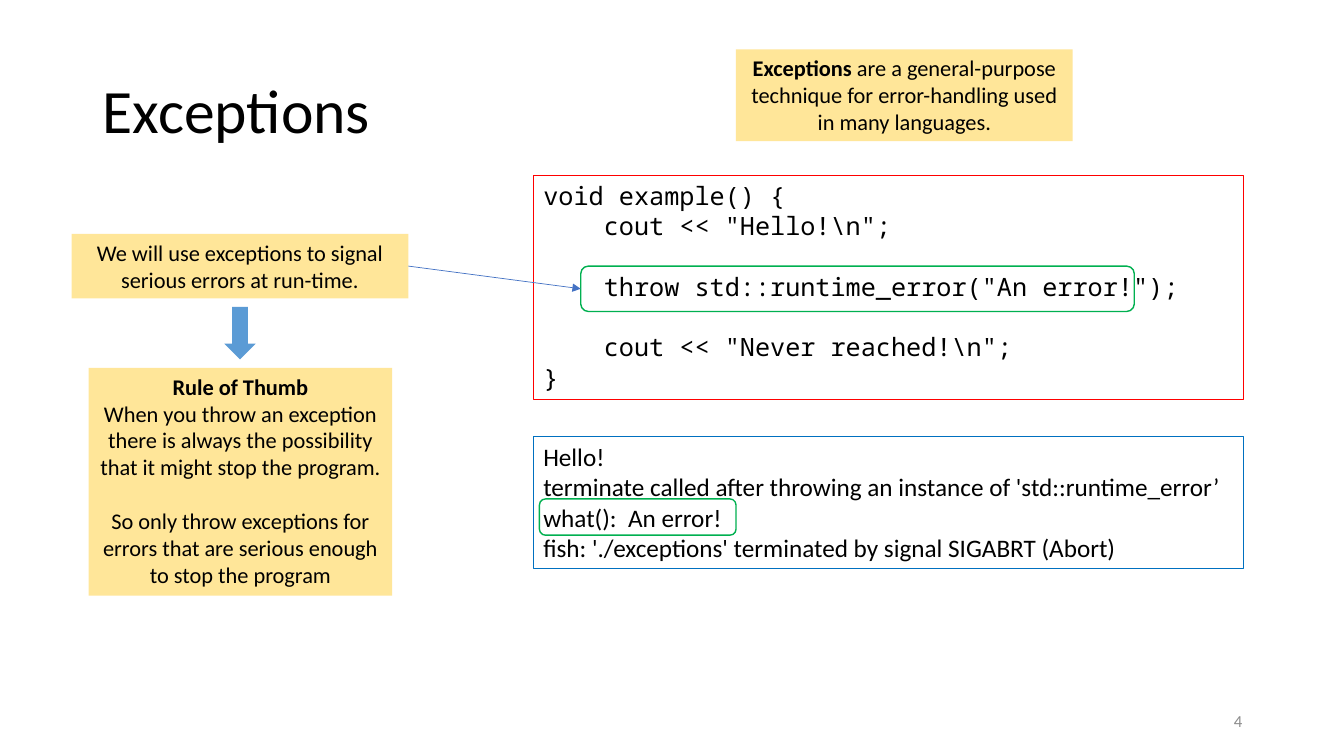
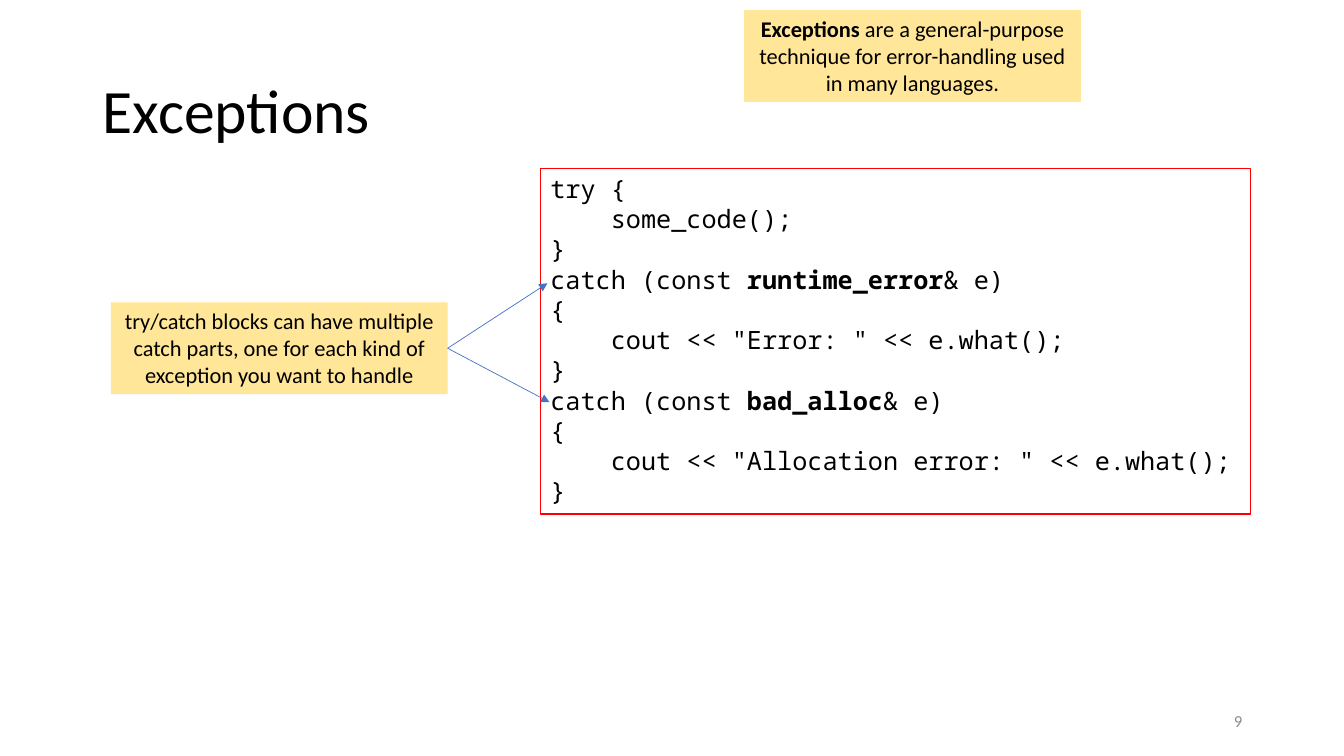
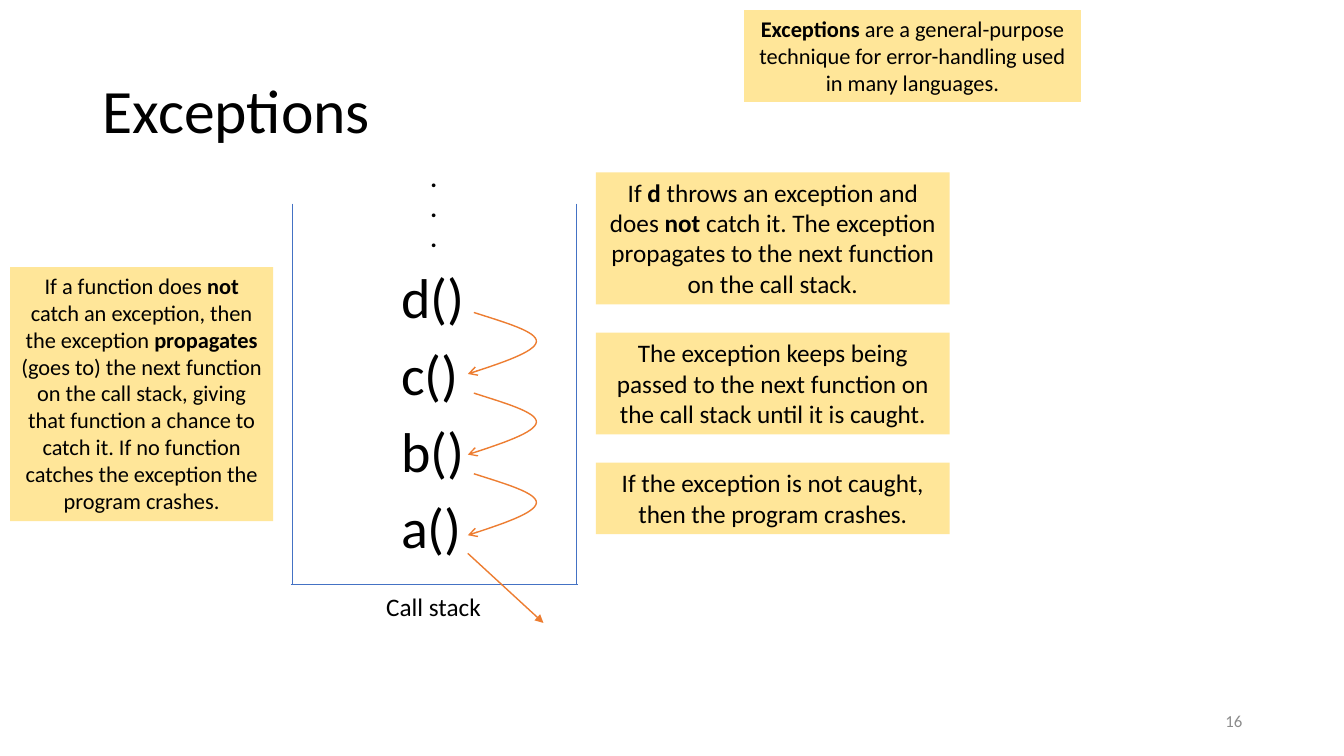
from lxml.etree import SubElement
from pptx import Presentation
from pptx.dml.color import RGBColor
from pptx.enum.shapes import MSO_CONNECTOR, MSO_SHAPE
from pptx.enum.text import MSO_ANCHOR, PP_ALIGN
from pptx.oxml.ns import qn
from pptx.util import Inches, Pt

BLACK = RGBColor(0x00, 0x00, 0x00)
GRAY = RGBColor(0x8C, 0x8C, 0x8C)
CREAM = RGBColor(0xFF, 0xE6, 0x99)
RED = RGBColor(0xFF, 0x00, 0x00)
OUTPUT_BLUE = RGBColor(0x00, 0x70, 0xC0)
LINE_BLUE = RGBColor(0x44, 0x72, 0xC4)
ARROW_BLUE = RGBColor(0x5B, 0x9B, 0xD5)
GREEN = RGBColor(0x00, 0xB0, 0x50)
ORANGE = RGBColor(0xED, 0x7D, 0x31)

FONTS = {
    "title": {"name": "Calibri", "size": Pt(44)},
    "number": {"name": "Calibri", "size": Pt(12)},
    "note": {"name": "Calibri", "size": Pt(16)},
    "body": {"name": "Calibri", "size": Pt(18)},
    "code": {"name": "Noto Sans Mono", "size": Pt(18)},
    "function": {"name": "Calibri", "size": Pt(40)},
}
LEFT = {"alignment": PP_ALIGN.LEFT}
CENTER = {"alignment": PP_ALIGN.CENTER}
RIGHT = {"alignment": PP_ALIGN.RIGHT}
CODE_INDENT = Inches(0.6)
LINE_HEIGHT = 1.2
RIGHT_SIDE = 3
LEFT_SIDE = 1
DEFINITION = "**Exceptions** are a general-purpose technique for error-handling used in many languages."


def set_values(target, values):
    for name, value in values.items():
        setattr(target, name, value)


def curve_point(start, first, second, end, t):
    u = 1 - t
    weights = (u ** 3, 3 * u * u * t, 3 * u * t * t, t ** 3)
    points = (start, first, second, end)
    return tuple(sum(w * p[axis] for w, p in zip(weights, points)) for axis in (0, 1))


class Deck:
    def __init__(self):
        self.presentation = Presentation()
        self.presentation.slide_width = Inches(13.33)
        self.presentation.slide_height = Inches(7.5)
        self.slide = None

    def start_slide(self, number, definition_left, definition_top):
        self.slide = self.presentation.slides.add_slide(self.presentation.slide_layouts[6])
        self.label((0.92, 0.4, 7.42, 1.45), ["Exceptions"], "title",
                   {"line_spacing": 0.9}, anchor=MSO_ANCHOR.MIDDLE)
        self.label((9.42, 6.95, 3, 0.4), [str(number)], "number", RIGHT,
                   anchor=MSO_ANCHOR.MIDDLE, color=GRAY)
        self.note((definition_left, definition_top, 3.34, 0.91), [DEFINITION])

    def set_text(self, shape, lines, font, layout, wrap=True, anchor=MSO_ANCHOR.TOP, color=BLACK):
        frame = shape.text_frame
        set_values(frame, {"word_wrap": wrap, "vertical_anchor": anchor})
        paragraph = frame.paragraphs[0]
        gap = False
        for index, line in enumerate(lines):
            if not line:
                gap = True
                continue
            if index:
                paragraph = frame.add_paragraph()
            set_values(paragraph, layout)
            if gap:
                paragraph.space_before = Pt(FONTS[font]["size"].pt * LINE_HEIGHT)
                gap = False
            if line.startswith("\t"):
                paragraph._p.get_or_add_pPr().set("marL", str(CODE_INDENT))
            for part, text in enumerate(line.strip().split("**")):
                if text:
                    run = paragraph.add_run()
                    run.text = text
                    set_values(run.font, {**FONTS[font], "bold": part % 2 == 1})
                    run.font.color.rgb = color

    def label(self, box, lines, font, layout, **options):
        shape = self.slide.shapes.add_textbox(*map(Inches, box))
        self.set_text(shape, lines, font, layout, **options)

    def box(self, kind, box, fill=None, line=None, width=1):
        shape = self.slide.shapes.add_shape(kind, *map(Inches, box))
        self.paint(shape, fill, line, width)
        return shape

    def paint(self, shape, fill, line, width, head=None):
        shape.shadow.inherit = False
        if fill is None:
            shape.fill.background()
        else:
            shape.fill.solid()
            shape.fill.fore_color.rgb = fill
        if line is None:
            shape.line.fill.background()
        else:
            self.stroke(shape, line, width, head)

    def stroke(self, shape, color, width, head=None):
        shape.line.color.rgb = color
        shape.line.width = Pt(width)
        if head:
            SubElement(shape.element.spPr.find(qn("a:ln")), qn("a:tailEnd"), type=head)

    def note(self, box, lines, font="note"):
        shape = self.box(MSO_SHAPE.RECTANGLE, box, fill=CREAM)
        self.set_text(shape, lines, font, CENTER)
        return shape

    def listing(self, box, lines, font="code", line=RED):
        shape = self.box(MSO_SHAPE.RECTANGLE, box, line=line, width=0.75)
        self.set_text(shape, lines, font, LEFT)

    def highlight(self, box):
        return self.box(MSO_SHAPE.ROUNDED_RECTANGLE, box, line=GREEN)

    def line(self, start, end, color=LINE_BLUE, width=1, head=None, source=None, target=None):
        connector = self.slide.shapes.add_connector(
            MSO_CONNECTOR.STRAIGHT, *map(Inches, start + end))
        if source:
            connector.begin_connect(source, RIGHT_SIDE)
        if target:
            connector.end_connect(target, LEFT_SIDE)
        self.stroke(connector, color, width, head)
        SubElement(connector.element.spPr, qn("a:effectLst"))

    def return_arrow(self, top):
        turn = (5.32, top + 0.29)
        upper = ((4.7, top), (5.01, top + 0.1), (5.33, top + 0.19), turn)
        lower = (turn, (5.31, top + 0.39), (4.98, top + 0.5), (4.64, top + 0.61))
        steps = 16
        points = [tuple(map(Inches, curve_point(*half, step / steps)))
                  for half in (upper, lower) for step in range(1, steps + 1)]
        builder = self.slide.shapes.build_freeform(Inches(4.7), Inches(top))
        builder.add_line_segments(points, close=False)
        self.paint(builder.convert_to_shape(), None, ORANGE, 1, "arrow")


def throwing_slide(deck):
    deck.start_slide(4, 7.3, 0.49)
    deck.listing((5.29, 1.74, 7.04, 2.22), [
        "void example() {",
        '\tcout << "Hello!\\n";',
        "",
        '\tthrow std::runtime_error("An error!");',
        "",
        '\tcout << "Never reached!\\n";',
        "}",
    ])
    usage = deck.note((0.71, 2.32, 3.34, 0.64),
                      ["We will use exceptions to signal serious errors at run-time."])
    deck.note((0.88, 3.65, 3.01, 2.26), [
        "**Rule of Thumb**",
        "When you throw an exception there is always the possibility that it might stop the program.",
        "",
        "So only throw exceptions for errors that are serious enough to stop the program",
    ])
    deck.listing((5.29, 4.33, 7.04, 1.31), [
        "Hello!",
        "terminate called after throwing an instance of 'std::runtime_error’",
        "what():  An error!",
        "fish: './exceptions' terminated by signal SIGABRT (Abort)",
    ], "body", OUTPUT_BLUE)
    deck.highlight((5.35, 4.95, 1.95, 0.36))
    arrow = deck.box(MSO_SHAPE.RIGHT_ARROW, (2.12, 3.15, 0.52, 0.31), fill=ARROW_BLUE)
    arrow.rotation = 90
    throw = deck.highlight((5.76, 2.64, 5.49, 0.45))
    deck.line((4.05, 2.64), (5.76, 2.87), width=0.5, head="triangle",
              source=usage, target=throw)


def catching_slide(deck):
    deck.start_slide(9, 7.38, 0.1)
    blocks = deck.note((1.1, 3, 3.34, 0.91), [
        "try/catch blocks can have multiple catch parts, "
        "one for each kind of exception you want to handle"])
    deck.listing((5.36, 1.67, 7.04, 3.43), [
        "try {",
        "\tsome_code();",
        "}",
        "catch (const **runtime_error**& e)",
        "{",
        '\tcout << "Error: " << e.what();',
        "}",
        "catch (const **bad_alloc**& e)",
        "{",
        '\tcout << "Allocation error: " << e.what();',
        "}",
    ])
    for end in ((5.43, 2.81), (5.45, 3.99)):
        deck.line((4.44, 3.45), end, width=0.5, head="triangle", source=blocks)


def call_stack_slide(deck):
    deck.start_slide(16, 7.38, 0.1)
    for row, name in enumerate("dcba"):
        deck.label((3.88, 2.56 + 0.76 * row, 0.85, 0.77), [f"{name}()"],
                   "function", LEFT, wrap=False)
    deck.label((4.17, 1.56, 0.28, 1.01), ["**.**"] * 3, "body", LEFT, wrap=False)
    deck.label((2.88, 5.82, 2.84, 0.4), ["Call stack"], "body", CENTER)
    deck.line((2.89, 5.8), (5.73, 5.8))
    for wall in (2.9, 5.72):
        deck.line((wall, 2.02), (wall, 5.8))
    for top, height, text in (
        (1.71, 1.31, "If **d** throws an exception and does **not** catch it. "
                     "The exception propagates to the next function on the call stack."),
        (3.3, 1.01, "The exception keeps being passed to the next function "
                    "on the call stack until it is caught."),
        (4.59, 0.71, "If the exception is not caught, then the program crashes."),
    ):
        deck.note((5.91, top, 3.51, height), [text], "body")
    for step in range(3):
        deck.return_arrow(3.1 + 0.8 * step)
    deck.line((4.64, 5.49), (5.39, 6.18), ORANGE, head="triangle")
    deck.note((0.1, 2.65, 2.61, 2.52), [
        "If a function does **not** catch an exception, then the exception **propagates** "
        "(goes to) the next function on the call stack, giving that function a chance "
        "to catch it. If no function catches the exception the program crashes."])


def main():
    deck = Deck()
    throwing_slide(deck)
    catching_slide(deck)
    call_stack_slide(deck)
    deck.presentation.save("out.pptx")


if __name__ == "__main__":
    main()
